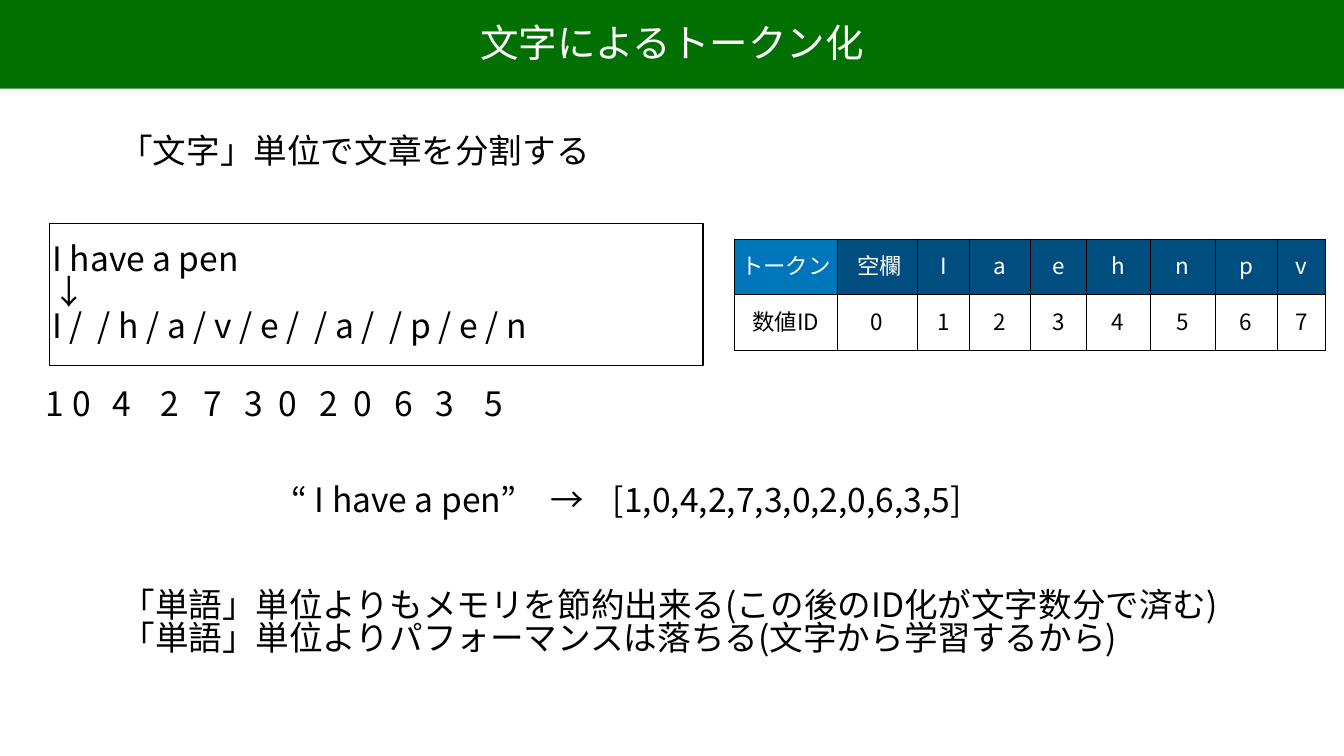
from pptx import Presentation
from pptx.dml.color import RGBColor
from pptx.enum.shapes import MSO_SHAPE
from pptx.enum.text import MSO_ANCHOR, PP_ALIGN
from pptx.oxml import parse_xml
from pptx.oxml.ns import nsdecls
from pptx.util import Inches, Pt

FONT = "Noto Sans CJK JP"
BLACK = RGBColor(0x00, 0x00, 0x00)
WHITE = RGBColor(0xFF, 0xFF, 0xFF)
GREEN = RGBColor(0x02, 0x70, 0x01)
BLUE = RGBColor(0x00, 0x76, 0xBA)
NAVY = RGBColor(0x00, 0x4D, 0x80)
INSET = Inches(0.06)
LINE_SPACING = 0.83

TOKENS = ["トークン", " 空欄", "I", "a", "e", "h", "n", "p", "v"]
TOKEN_IDS = ["数値ID"] + [str(i) for i in range(len(TOKENS) - 1)]
COLUMN_WIDTHS = [2.03, 1.59, 1.04, 1.2, 1.12, 1.26, 1.3, 1.22, 0.97]
SENTENCE_IDS = [1, 0, 4, 2, 7, 3, 0, 2, 0, 6, 3, 5]
ID_STOPS = [0.52, 1.33, 2.28, 3.13, 3.95, 4.62, 5.44, 6.11, 6.92, 7.74, 8.71]


def inches(box):
    return [Inches(length) for length in box]


def add_tab_stops(paragraph, stops):
    tabs = "".join(f'<a:tab pos="{Inches(stop)}" algn="l"/>' for stop in stops)
    paragraph._p.get_or_add_pPr().append(
        parse_xml(f'<a:tabLst {nsdecls("a")}>{tabs}</a:tabLst>'))


def write(frame, lines, size=48, color=BLACK, align=PP_ALIGN.LEFT, stops=()):
    """Fill a text frame with one paragraph per line."""
    for index, line in enumerate(lines):
        paragraph = frame.paragraphs[0] if index == 0 else frame.add_paragraph()
        paragraph.alignment = align
        paragraph.line_spacing = LINE_SPACING
        if stops:
            add_tab_stops(paragraph, stops)
        run = paragraph.add_run()
        run.text = line
        run.font.size = Pt(size)
        run.font.name = FONT
        run.font.color.rgb = color
        run._r.get_or_add_rPr().append(
            parse_xml(f'<a:ea {nsdecls("a")} typeface="{FONT}"/>'))


def set_frame(frame):
    frame.margin_left = frame.margin_right = INSET
    frame.margin_top = frame.margin_bottom = INSET
    frame.vertical_anchor = MSO_ANCHOR.MIDDLE
    frame.word_wrap = True


def add_text(slide, box, lines, **style):
    frame = slide.shapes.add_textbox(*inches(box)).text_frame
    set_frame(frame)
    write(frame, lines, **style)


def add_rectangle(slide, box):
    rectangle = slide.shapes.add_shape(MSO_SHAPE.RECTANGLE, *inches(box))
    rectangle.shadow.inherit = False
    return rectangle


def add_title_bar(slide, box, text):
    left, top, width, height = box
    bar = add_rectangle(slide, box)
    bar.fill.solid()
    bar.fill.fore_color.rgb = GREEN
    bar.line.fill.background()
    title = slide.shapes.title
    bar._element.addnext(title._element)
    title_width, title_height = 7.76, 0.88
    title.left = Inches(left + (width - title_width) / 2)
    title.top = Inches(top + 0.48)
    title.width, title.height = Inches(title_width), Inches(title_height)
    set_frame(title.text_frame)
    write(title.text_frame, [text], size=55, color=WHITE, align=PP_ALIGN.CENTER)


def add_split_example(slide, box):
    """Framed sentence split into characters, with its IDs underneath."""
    left, top, width, height = box
    panel = add_rectangle(slide, box)
    panel.fill.background()
    panel.line.color.rgb = BLACK
    panel.line.width = Pt(2)
    set_frame(panel.text_frame)
    write(panel.text_frame,
          ["I have a pen", "↓", "I /  / h / a / v / e /  / a /  / p / e / n"])
    add_text(slide, (left - 0.13, top + height + 0.42, 12.7, 0.78),
             ["\t".join(map(str, SENTENCE_IDS))], stops=ID_STOPS)


def add_borders(cell):
    properties = cell._tc.get_or_add_tcPr()
    for index, side in enumerate(("lnL", "lnR", "lnT", "lnB")):
        properties.insert(index, parse_xml(
            f'<a:{side} {nsdecls("a")} w="{Pt(1)}"><a:solidFill>'
            f'<a:srgbClr val="{BLACK}"/></a:solidFill></a:{side}>'))


def add_token_table(slide, box):
    rows = [TOKENS, TOKEN_IDS]
    table = slide.shapes.add_table(len(rows), len(TOKENS), *inches(box)).table
    for column, width in zip(table.columns, COLUMN_WIDTHS):
        column.width = Inches(width)
    for r, labels in enumerate(rows):
        table.rows[r].height = Inches(box[3] / len(rows))
        for c, label in enumerate(labels):
            cell = table.cell(r, c)
            header_fill = BLUE if c == 0 else NAVY
            cell.fill.solid()
            cell.fill.fore_color.rgb = header_fill if r == 0 else WHITE
            cell.margin_left = cell.margin_right = INSET
            cell.margin_top = cell.margin_bottom = INSET
            cell.vertical_anchor = MSO_ANCHOR.MIDDLE
            add_borders(cell)
            write(cell.text_frame, [label], size=32,
                  color=WHITE if r == 0 else BLACK, align=PP_ALIGN.CENTER)


def main():
    presentation = Presentation()
    presentation.slide_width, presentation.slide_height = Inches(26.67), Inches(15)
    slide = presentation.slides.add_slide(presentation.slide_layouts[5])
    add_title_bar(slide, (0, 0, 26.67, 1.76), "文字によるトークン化")
    add_text(slide, (2.31, 2.65, 9.46, 0.78), ["「文字」単位で文章を分割する"])
    add_text(slide, (2.35, 11.49, 22.05, 1.78), [
        "「単語」単位よりもメモリを節約出来る(この後のID化が文字数分で済む)",
        "「単語」単位よりパフォーマンスは落ちる(文字から学習するから)",
    ])
    add_split_example(slide, (0.98, 4.44, 12.97, 2.81))
    add_token_table(slide, (14.58, 4.74, 11.75, 2.21))
    id_list = ",".join(map(str, SENTENCE_IDS))
    add_text(slide, (5.72, 9.58, 15.31, 0.78),
             [f"“ I have a pen”\u3000→\t[{id_list}]"], stops=[6.38])
    presentation.save("out.pptx")


if __name__ == "__main__":
    main()
